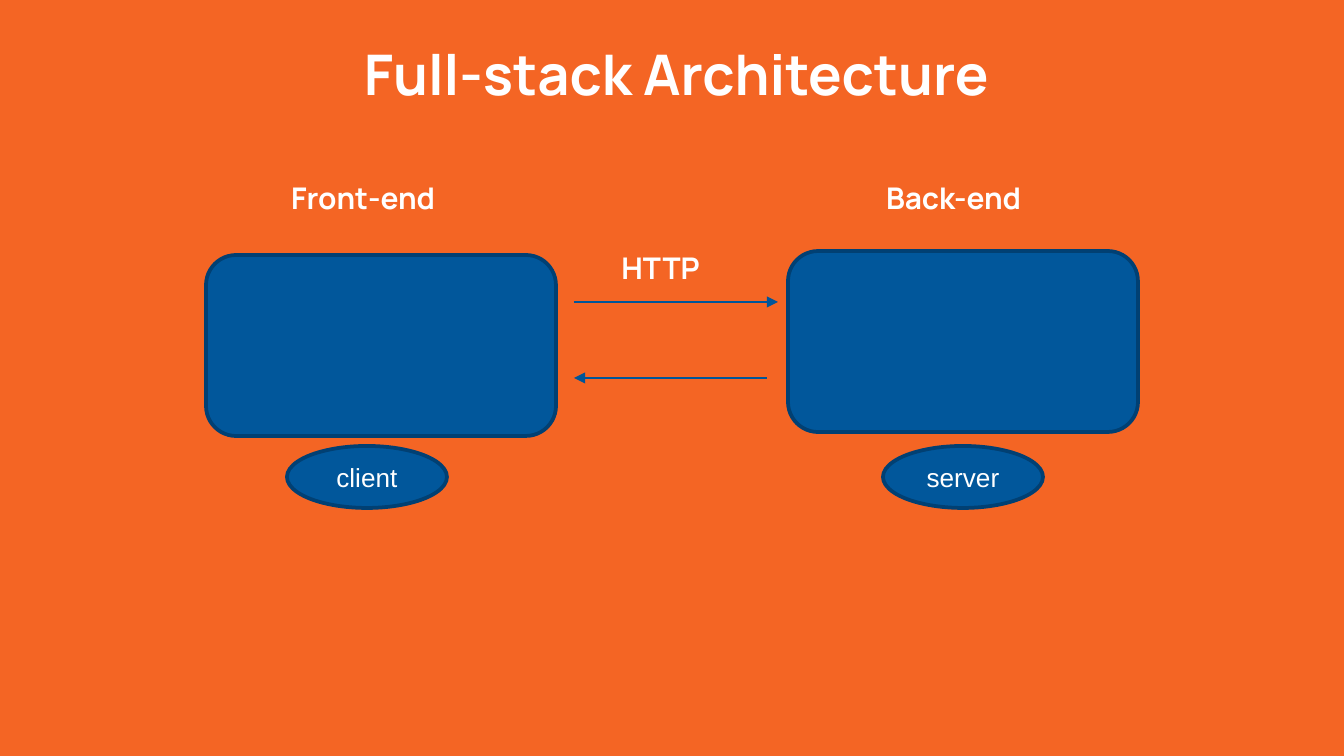
from dataclasses import dataclass

from lxml import etree
from pptx import Presentation
from pptx.dml.color import RGBColor
from pptx.enum.shapes import MSO_CONNECTOR, MSO_SHAPE
from pptx.enum.text import MSO_ANCHOR, PP_ALIGN
from pptx.oxml.ns import qn
from pptx.util import Emu, Pt

ROUNDED = MSO_SHAPE.ROUNDED_RECTANGLE
OVAL = MSO_SHAPE.OVAL
STRAIGHT = MSO_CONNECTOR.STRAIGHT
CENTER = PP_ALIGN.CENTER
MIDDLE = MSO_ANCHOR.MIDDLE
TOP = MSO_ANCHOR.TOP
PX_PER_INCH = 134.4
INSET = 13


@dataclass(frozen=True)
class Theme:
    background: str = "F46524"
    fill: str = "01579B"
    outline: str = "014073"
    arrow: str = "005599"
    text: str = "FFFFFF"
    heading_font: str = "Manrope"
    body_font: str = "Arial"
    title_size: int = 30
    label_size: int = 16
    role_size: int = 14
    outline_width: float = 2
    arrow_width: float = 0.75


THEME = Theme()


def px(length):
    return Emu(round(length * 914400 / PX_PER_INCH))


def color(value):
    return RGBColor.from_string(value)


def write(shape, text, font_name, size, bold, anchor):
    frame = shape.text_frame
    frame.word_wrap = True
    frame.vertical_anchor = anchor
    frame.margin_left = frame.margin_right = px(INSET)
    frame.margin_top = frame.margin_bottom = px(INSET)
    para = frame.paragraphs[0]
    para.text = text
    para.alignment = CENTER
    para.font.name = font_name
    para.font.size = Pt(size)
    para.font.bold = bold
    para.font.color.rgb = color(THEME.text)


def add_heading(page, text, bounds, size):
    box = page.shapes.add_textbox(*map(px, bounds))
    write(box, text, THEME.heading_font, size, True, TOP)


def add_node(page, kind, bounds):
    node = page.shapes.add_shape(kind, *map(px, bounds))
    node.shadow.inherit = False
    node.fill.solid()
    node.fill.fore_color.rgb = color(THEME.fill)
    node.line.color.rgb = color(THEME.outline)
    node.line.width = Pt(THEME.outline_width)
    return node


def add_role(page, text, bounds):
    oval = add_node(page, OVAL, bounds)
    write(oval, text, THEME.body_font, THEME.role_size, False, MIDDLE)


def add_arrow(page, start, end, y):
    arrow = page.shapes.add_connector(STRAIGHT, px(start), px(y), px(end), px(y))
    arrow.line.color.rgb = color(THEME.arrow)
    arrow.line.width = Pt(THEME.arrow_width)
    line = arrow.line._get_or_add_ln()
    etree.SubElement(line, qn("a:tailEnd"), type="triangle", w="med", len="med")
    etree.SubElement(arrow._element.spPr, qn("a:effectLst"))


def main():
    deck = Presentation()
    deck.slide_width, deck.slide_height = px(1344), px(756)
    page = deck.slides.add_slide(deck.slide_layouts[6])
    page.background.fill.solid()
    page.background.fill.fore_color.rgb = color(THEME.background)

    add_heading(page, "Full-stack Architecture", (347, 27, 659, 103), THEME.title_size)
    tiers = (
        ("Front-end", (250, 167, 226, 66), (206, 255), "client", 287),
        ("Back-end", (833, 167, 241, 66), (788, 251), "server", 883),
    )
    for name, name_bounds, corner, role, role_left in tiers:
        add_node(page, ROUNDED, (*corner, 350, 181))
        add_role(page, role, (role_left, 446, 160, 62))
        add_heading(page, name, name_bounds, THEME.label_size)

    add_arrow(page, 574, 778, 302)
    add_arrow(page, 767, 574, 378)
    add_heading(page, "HTTP", (599, 237, 123, 58), THEME.label_size)
    deck.save("out.pptx")


if __name__ == "__main__":
    main()
